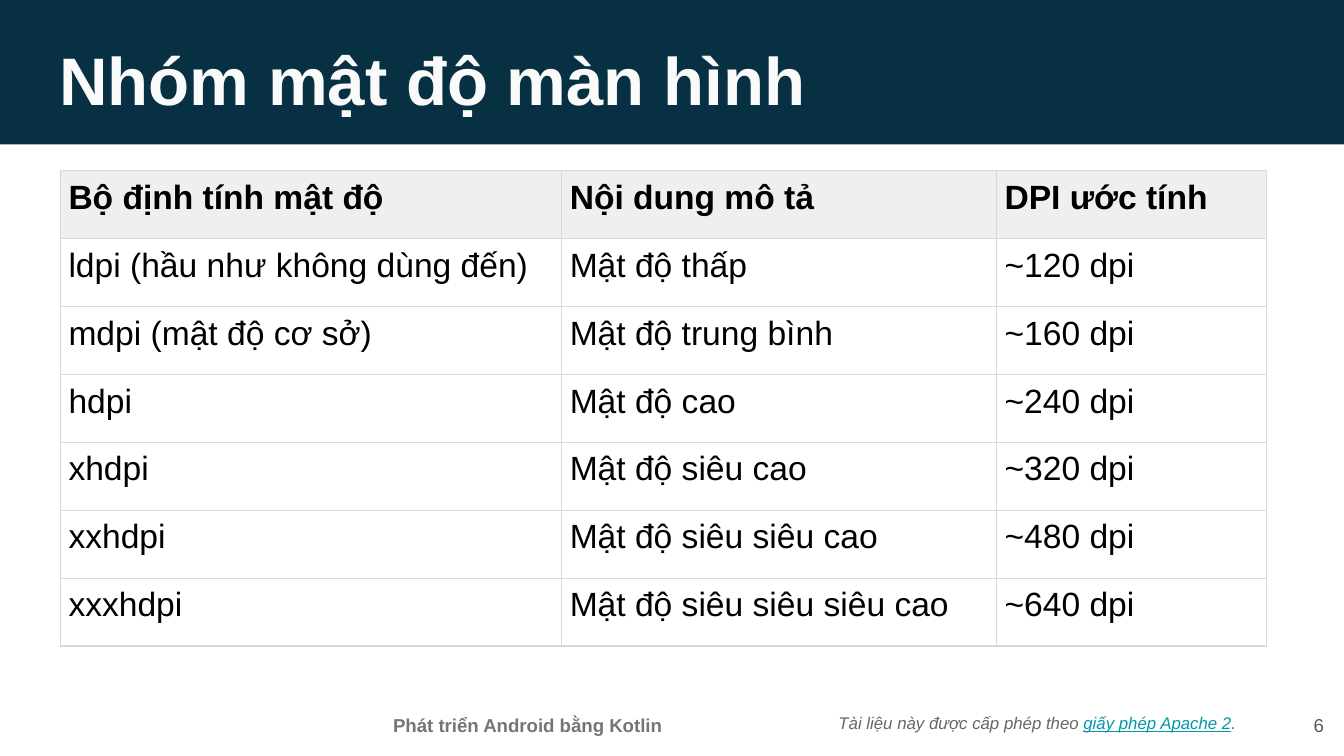
from dataclasses import dataclass

from lxml import etree
from pptx import Presentation
from pptx.dml.color import RGBColor
from pptx.enum.shapes import MSO_SHAPE
from pptx.enum.text import MSO_ANCHOR, MSO_AUTO_SIZE, PP_ALIGN
from pptx.oxml.ns import qn
from pptx.util import Inches, Pt

RECTANGLE = MSO_SHAPE.RECTANGLE
TOP, MIDDLE = MSO_ANCHOR.TOP, MSO_ANCHOR.MIDDLE
LEFT, CENTER, RIGHT = PP_ALIGN.LEFT, PP_ALIGN.CENTER, PP_ALIGN.RIGHT
NO_AUTOFIT = MSO_AUTO_SIZE.NONE

NAVY = RGBColor(0x07, 0x30, 0x42)
OFF_WHITE = RGBColor(0xFA, 0xFA, 0xFA)
BLACK = RGBColor(0x00, 0x00, 0x00)
HEADER_GRAY = RGBColor(0xEF, 0xEF, 0xEF)
BORDER_GRAY = RGBColor(0xD9, 0xD9, 0xD9)
LICENSE_GRAY = RGBColor(0x66, 0x66, 0x66)
FOOTER_GRAY = RGBColor(0x75, 0x75, 0x75)
NUMBER_GRAY = RGBColor(0x59, 0x59, 0x59)
LINK_TEAL = RGBColor(0x00, 0x97, 0xA7)

FONT = "Arial"
SLIDE_WIDTH = Inches(10)
SLIDE_HEIGHT = SLIDE_WIDTH * 9 // 16
TEXT_INSET, CELL_INSET = Inches(0.1), Inches(0.06)
BORDER_WIDTH = Pt(0.75)
BORDER_SIDES = ("a:lnL", "a:lnR", "a:lnT", "a:lnB")

COLUMN_PERCENTS = (37.3, 32.35, 20.1)
ROW_PERCENT = 8.98
DENSITY_ROWS = (
    ("Bộ định tính mật độ", "Nội dung mô tả", "DPI ước tính"),
    ("ldpi (hầu như không dùng đến)", "Mật độ thấp", "~120 dpi"),
    ("mdpi (mật độ cơ sở)", "Mật độ trung bình", "~160 dpi"),
    ("hdpi", "Mật độ cao", "~240 dpi"),
    ("xhdpi", "Mật độ siêu cao", "~320 dpi"),
    ("xxhdpi", "Mật độ siêu siêu cao", "~480 dpi"),
    ("xxxhdpi", "Mật độ siêu siêu siêu cao", "~640 dpi"),
)


def across(percent: float) -> int:
    return round(SLIDE_WIDTH * percent / 100)


def down(percent: float) -> int:
    return round(SLIDE_HEIGHT * percent / 100)


@dataclass(frozen=True)
class Area:
    left: float
    top: float
    width: float
    height: float

    def lengths(self) -> tuple[int, int, int, int]:
        return across(self.left), down(self.top), across(self.width), down(self.height)


@dataclass(frozen=True)
class Style:
    size: float
    color: RGBColor
    bold: bool = False
    italic: bool = False
    underline: bool = False


@dataclass(frozen=True)
class Label:
    area: Area
    pieces: tuple[tuple[str, Style], ...]
    align: PP_ALIGN = LEFT
    anchor: MSO_ANCHOR = TOP


LICENSE = Style(9, LICENSE_GRAY, italic=True)
LICENSE_LINK = Style(9, LINK_TEAL, italic=True, underline=True)
HEADER_CELL = Style(18, BLACK, bold=True)
BODY_CELL = Style(18, BLACK)

BAND_AREA = Area(-0.1, -0.71, 100.1, 19.8)
TABLE_AREA = Area(4.5, 22.6, sum(COLUMN_PERCENTS), ROW_PERCENT * len(DENSITY_ROWS))
TITLE = Label(
    Area(3.4, 3.3, 93.2, 11.2),
    (("Nhóm mật độ màn hình", Style(36, OFF_WHITE, bold=True)),),
)
FOOTERS = (
    Label(
        Area(61.4, 91.44, 32.1, 8.36),
        (
            ("Tài liệu này được cấp phép theo ", LICENSE),
            ("giấy phép Apache 2", LICENSE_LINK),
            (".", LICENSE),
        ),
        anchor=MIDDLE,
    ),
    Label(
        Area(25.1, 92.65, 28.3, 5.69),
        (("Phát triển Android bằng Kotlin", Style(10, FOOTER_GRAY, bold=True)),),
        align=CENTER,
    ),
    Label(
        Area(93.5, 92.1, 6, 7.65),
        (("6", Style(10, NUMBER_GRAY)),),
        align=RIGHT,
        anchor=MIDDLE,
    ),
)


def format_font(font, style: Style) -> None:
    font.name = FONT
    font.size = Pt(style.size)
    font.color.rgb = style.color
    font.bold = style.bold
    font.italic = style.italic
    font.underline = style.underline


def fill_label(box, label: Label) -> None:
    box.left, box.top, box.width, box.height = label.area.lengths()
    frame = box.text_frame
    frame.word_wrap = True
    frame.auto_size = NO_AUTOFIT
    frame.vertical_anchor = label.anchor
    frame.margin_left = frame.margin_right = TEXT_INSET
    frame.margin_top = frame.margin_bottom = TEXT_INSET
    para = frame.paragraphs[0]
    para.alignment = label.align
    for text, style in label.pieces:
        span = para.add_run()
        span.text = text
        format_font(span.font, style)


def draw_band(page) -> None:
    band = page.shapes.add_shape(RECTANGLE, *BAND_AREA.lengths())
    band.shadow.inherit = False
    band.fill.solid()
    band.fill.fore_color.rgb = NAVY
    band.line.fill.background()


def draw_title(page) -> None:
    title = page.shapes.title
    title.element.getparent().append(title.element)
    fill_label(title, TITLE)


def add_borders(cell) -> None:
    properties = cell._tc.get_or_add_tcPr()
    for position, side in enumerate(BORDER_SIDES):
        line = etree.Element(qn(side), w=str(BORDER_WIDTH))
        fill = etree.SubElement(line, qn("a:solidFill"))
        etree.SubElement(fill, qn("a:srgbClr"), val=str(BORDER_GRAY))
        properties.insert(position, line)


def fill_cell(cell, text: str, is_header: bool) -> None:
    cell.margin_left = cell.margin_right = CELL_INSET
    cell.margin_top = cell.margin_bottom = CELL_INSET
    cell.vertical_anchor = TOP
    if is_header:
        cell.fill.solid()
        cell.fill.fore_color.rgb = HEADER_GRAY
    else:
        cell.fill.background()
    add_borders(cell)
    cell.text_frame.text = text
    span = cell.text_frame.paragraphs[0].runs[0]
    format_font(span.font, HEADER_CELL if is_header else BODY_CELL)


def draw_density_table(page) -> None:
    table = page.shapes.add_table(
        len(DENSITY_ROWS), len(COLUMN_PERCENTS), *TABLE_AREA.lengths()
    ).table
    table.horz_banding = False
    for column, percent in zip(table.columns, COLUMN_PERCENTS):
        column.width = across(percent)
    for row_index, (row, texts) in enumerate(zip(table.rows, DENSITY_ROWS)):
        row.height = down(ROW_PERCENT)
        for cell, text in zip(row.cells, texts):
            fill_cell(cell, text, row_index == 0)


def main() -> None:
    deck = Presentation()
    deck.slide_width, deck.slide_height = SLIDE_WIDTH, SLIDE_HEIGHT
    page = deck.slides.add_slide(deck.slide_layouts[5])
    draw_band(page)
    draw_title(page)
    for footer in FOOTERS:
        fill_label(page.shapes.add_textbox(*footer.area.lengths()), footer)
    draw_density_table(page)
    deck.save("out.pptx")


if __name__ == "__main__":
    main()
